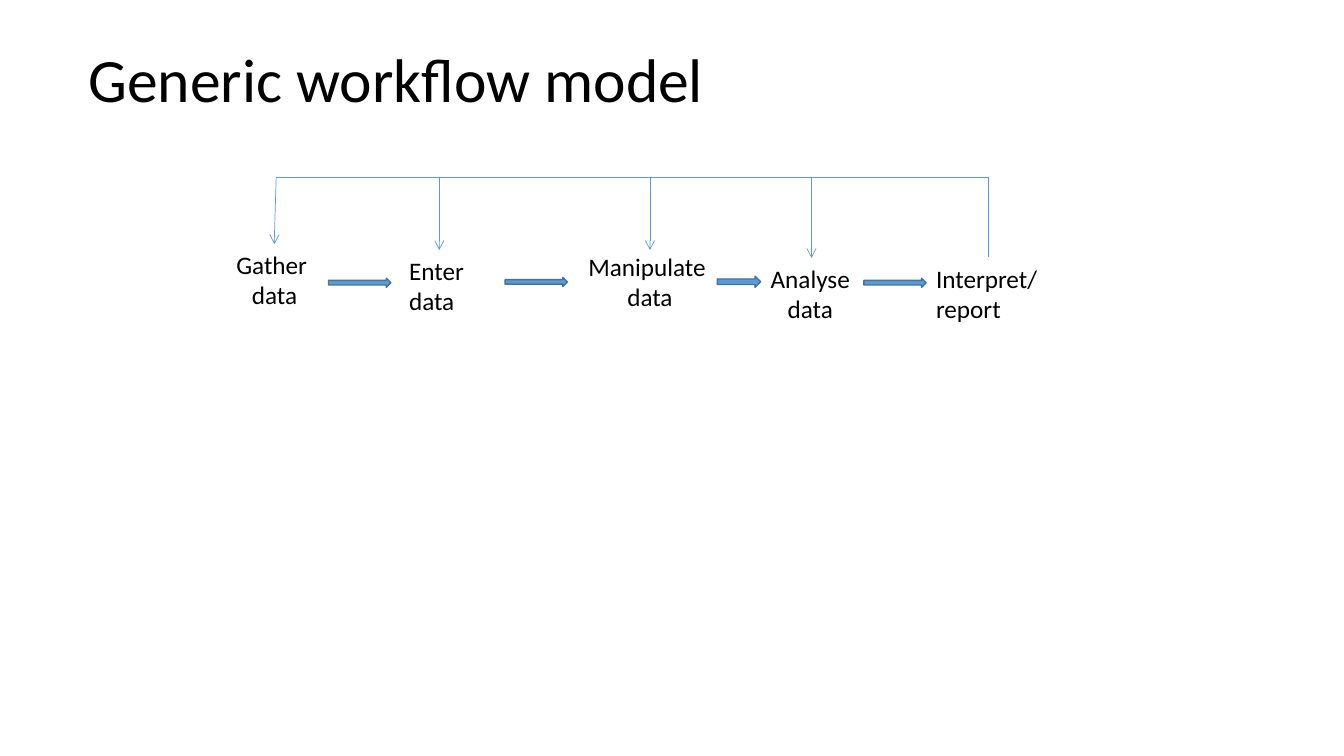
from dataclasses import dataclass

from lxml import etree
from pptx import Presentation
from pptx import util as u
from pptx.dml.color import RGBColor
from pptx.enum import shapes, text
from pptx.oxml import ns
from pptx.slide import Slide


@dataclass(frozen=True)
class Theme:
    font: str = "Calibri"
    ink: RGBColor = RGBColor(0x00, 0x00, 0x00)
    blue: RGBColor = RGBColor(0x5B, 0x9B, 0xD5)
    outline: RGBColor = RGBColor(0x43, 0x73, 0x9E)
    title_size: float = 44
    step_size: float = 18
    thin: float = 0.5
    arrow_outline: float = 1


@dataclass(frozen=True)
class Step:
    """A workflow step and its branch of the feedback line, in cm."""
    words: tuple[str, ...]
    left: float
    top: float
    width: float
    branch_x: float
    branch_end: tuple[float, float]
    centred: bool = True
    receives_feedback: bool = True


@dataclass(frozen=True)
class FlowArrow:
    """A block arrow between two steps, in cm."""
    left: float
    top: float
    width: float = 1.57
    height: float = 0.23


THEME = Theme()
STEP_HEIGHT = 1.8
FEEDBACK_Y = 4.47

STEPS = (
    Step(("Gather ", "data"), 5.69, 6.15, 2.46, 6.96, (6.91, 6.15)),
    Step(("Enter", "data"), 10.06, 6.3, 2.06, 11.07, (11.07, 6.3), centred=False),
    Step(("Manipulate ", "data"), 14.55, 6.2, 3.66, 16.38, (16.38, 6.3)),
    Step(("Analyse", "data"), 19.15, 6.5, 2.54, 20.45, (20.45, 6.5)),
    Step(("Interpret/", "report"), 23.34, 6.5, 3.1, 24.92, (24.92, 6.48),
         centred=False, receives_feedback=False),
)

FLOW_ARROWS = (
    FlowArrow(8.28, 7.01),
    FlowArrow(12.73, 6.99),
    FlowArrow(18.08, 6.96, 1.09, 0.28),
    FlowArrow(21.77, 7.01),
)


def add_text(slide: Slide, lines: tuple[str, ...], left: float, top: float,
             width: float, height: float, *, size: float, wrap: bool = False,
             centred: bool = False, middle: bool = False,
             line_spacing: float | None = None) -> None:
    box = slide.shapes.add_textbox(u.Cm(left), u.Cm(top), u.Cm(width), u.Cm(height))
    frame = box.text_frame
    frame.word_wrap = wrap
    frame.auto_size = (text.MSO_AUTO_SIZE.NONE if wrap
                       else text.MSO_AUTO_SIZE.SHAPE_TO_FIT_TEXT)
    frame.vertical_anchor = text.MSO_ANCHOR.MIDDLE if middle else text.MSO_ANCHOR.TOP
    frame.text = "\n".join(lines)
    for paragraph in frame.paragraphs:
        paragraph.alignment = text.PP_ALIGN.CENTER if centred else text.PP_ALIGN.LEFT
        paragraph.line_spacing = line_spacing
        for run in paragraph.runs:
            run.font.name = THEME.font
            run.font.size = u.Pt(size)
            run.font.color.rgb = THEME.ink


def add_flow_arrow(slide: Slide, arrow: FlowArrow) -> None:
    block = slide.shapes.add_shape(
        shapes.MSO_SHAPE.RIGHT_ARROW, u.Cm(arrow.left), u.Cm(arrow.top),
        u.Cm(arrow.width), u.Cm(arrow.height))
    block.shadow.inherit = False
    block.fill.solid()
    block.fill.fore_color.rgb = THEME.blue
    block.line.color.rgb = THEME.outline
    block.line.width = u.Pt(THEME.arrow_outline)


def add_feedback_line(slide: Slide, start: tuple[float, float],
                      end: tuple[float, float], *, arrowhead: bool = False) -> None:
    connector = slide.shapes.add_connector(
        shapes.MSO_CONNECTOR.STRAIGHT, *(u.Cm(length) for length in start + end))
    connector.line.color.rgb = THEME.blue
    connector.line.width = u.Pt(THEME.thin)
    if arrowhead:
        etree.SubElement(connector.line._get_or_add_ln(), ns.qn("a:tailEnd"), type="arrow")
    etree.SubElement(connector._element.spPr, ns.qn("a:effectLst"))


def main() -> None:
    deck = Presentation()
    deck.slide_width, deck.slide_height = u.Cm(33.87), u.Cm(19.05)
    slide = deck.slides.add_slide(deck.slide_layouts[6])

    # Title
    add_text(slide, ("Generic workflow model",), 1.98, 0.23, 29.21, 3.68,
             size=THEME.title_size, wrap=True, middle=True, line_spacing=0.9)

    # Workflow steps
    for step in STEPS:
        add_text(slide, step.words, step.left, step.top, step.width, STEP_HEIGHT,
                 size=THEME.step_size, centred=step.centred)

    # Arrows from step to step
    for arrow in FLOW_ARROWS:
        add_flow_arrow(slide, arrow)

    # Feedback line and its branches
    add_feedback_line(slide, (STEPS[0].branch_x, FEEDBACK_Y),
                      (STEPS[-1].branch_x, FEEDBACK_Y))
    for step in STEPS:
        add_feedback_line(slide, (step.branch_x, FEEDBACK_Y), step.branch_end,
                          arrowhead=step.receives_feedback)

    deck.save("out.pptx")


if __name__ == "__main__":
    main()
